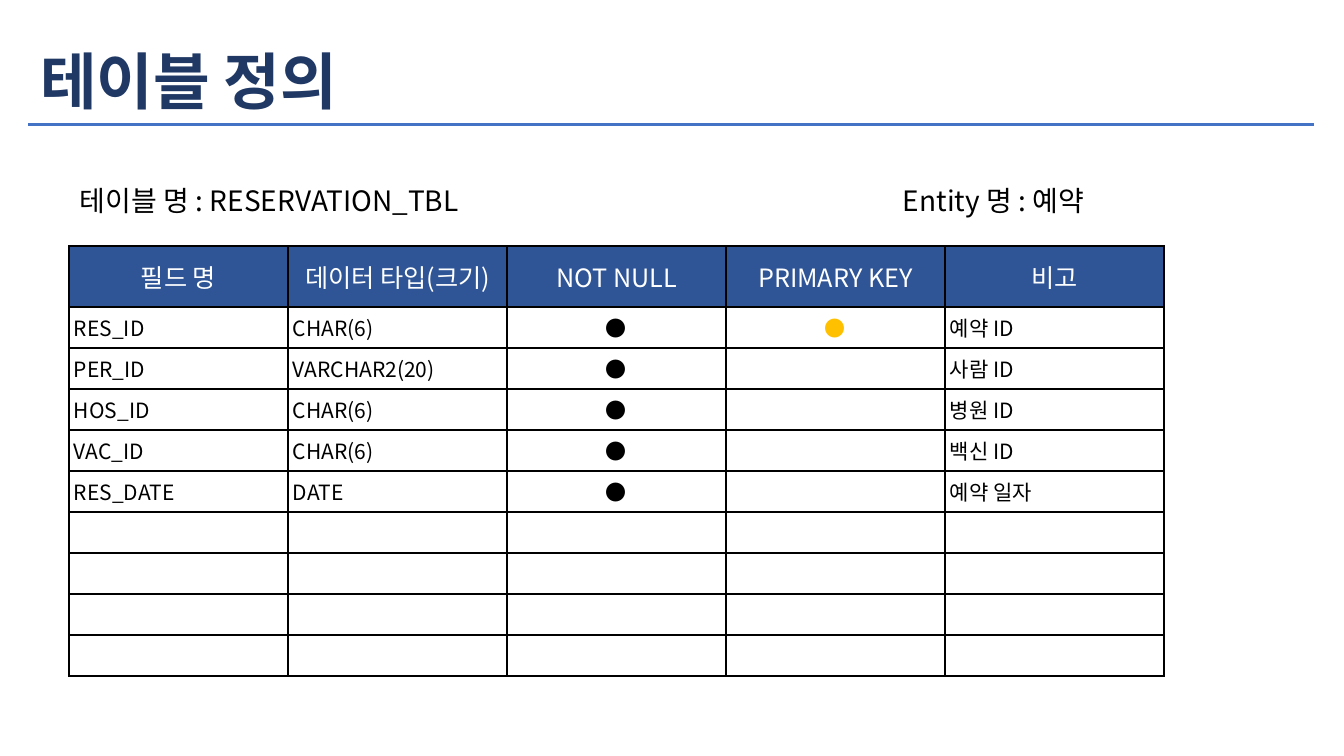
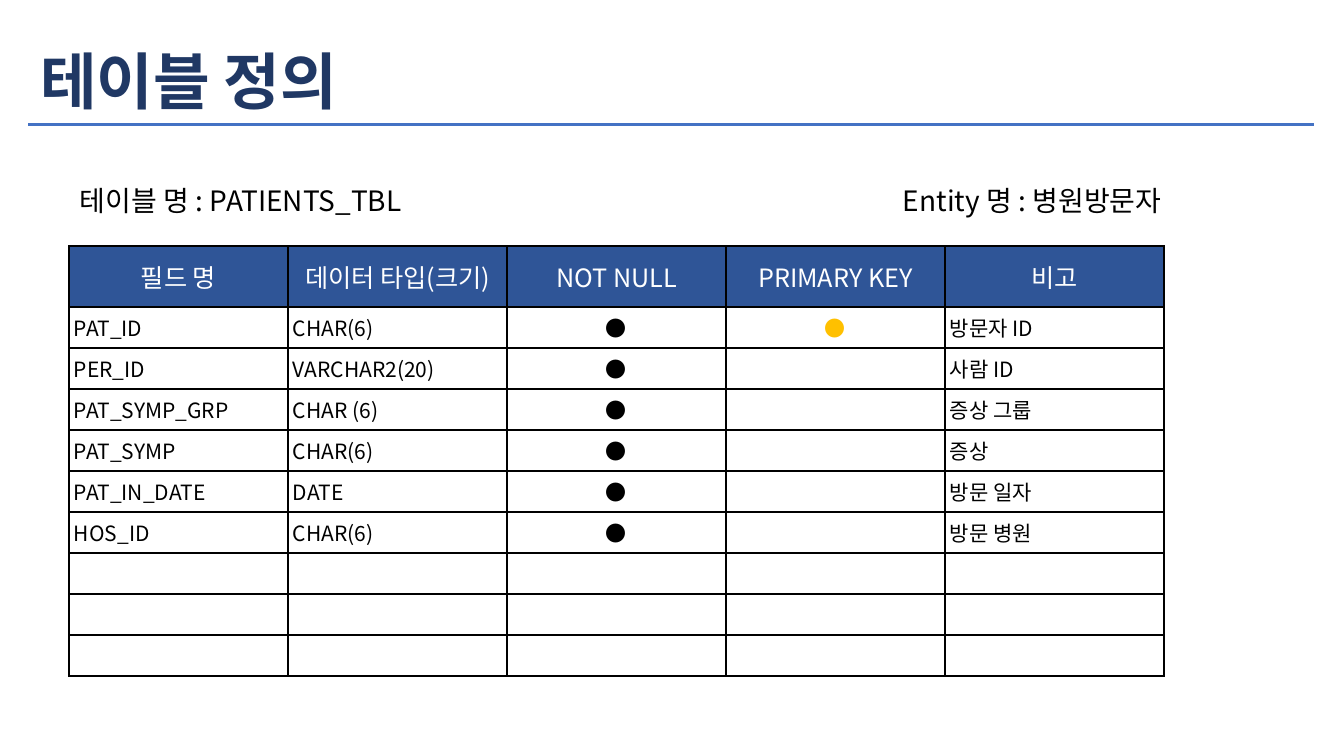
"""Builds two slides that define database tables."""
from dataclasses import dataclass

from lxml import etree
from pptx import Presentation
from pptx.dml.color import RGBColor
from pptx.enum.shapes import MSO_SHAPE
from pptx.enum.text import MSO_ANCHOR, MSO_AUTO_SIZE, PP_ALIGN
from pptx.oxml import parse_xml
from pptx.oxml.ns import nsdecls, qn
from pptx.slide import Slide
from pptx.table import _Cell
from pptx.text.text import TextFrame
from pptx.util import Emu, Pt

RECTANGLE = MSO_SHAPE.RECTANGLE
TOP, MIDDLE = MSO_ANCHOR.TOP, MSO_ANCHOR.MIDDLE
LEFT, CENTER = PP_ALIGN.LEFT, PP_ALIGN.CENTER
FIXED_SIZE = MSO_AUTO_SIZE.NONE

WHITE = RGBColor(0xFF, 0xFF, 0xFF)
BLACK = RGBColor(0x00, 0x00, 0x00)
NAVY = RGBColor(0x20, 0x38, 0x64)
HEADER_BLUE = RGBColor(0x2F, 0x55, 0x97)
RULE_BLUE = RGBColor(0x44, 0x72, 0xC4)
KEY_GOLD = RGBColor(0xFF, 0xC0, 0x00)

FONT = "Noto Sans CJK KR"
BODY_SIZE = 15
EMU_PER_PIXEL = 914400 / 100.8
INSET = 5
TITLE_LAYOUT = 5

HEADINGS = ("필드 명", "데이터 타입(크기)", "NOT NULL", "PRIMARY KEY", "비고")
DOT = "●"
BODY_ROWS = 9
HEADER_HEIGHT, ROW_HEIGHT, COLUMN_WIDTH = 61, 41, 219


@dataclass(frozen=True)
class Box:
    """A place on the slide, in pixels."""
    left: int
    top: int
    width: int
    height: int


@dataclass(frozen=True)
class Field:
    """One field of a database table."""
    name: str
    data_type: str
    remark: str
    primary_key: bool = False
    not_null: bool = True


@dataclass(frozen=True)
class TableDefinition:
    """A database table with its entity and fields."""
    table_name: str
    entity: str
    fields: tuple[Field, ...]


TITLE_BOX = Box(35, 32, 1138, 105)
RULE_BOX = Box(27, 122, 1288, 5)
TABLE_NAME_BOX = Box(75, 176, 442, 52)
ENTITY_BOX = Box(898, 176, 442, 52)
GRID_BOX = Box(69, 246, COLUMN_WIDTH * len(HEADINGS),
               HEADER_HEIGHT + ROW_HEIGHT * BODY_ROWS)

DEFINITIONS = (
    TableDefinition("RESERVATION_TBL", "예약", (
        Field("RES_ID", "CHAR(6)", "예약 ID", primary_key=True),
        Field("PER_ID", "VARCHAR2(20)", "사람 ID"),
        Field("HOS_ID", "CHAR(6)", "병원 ID"),
        Field("VAC_ID", "CHAR(6)", "백신 ID"),
        Field("RES_DATE", "DATE", "예약 일자"),
    )),
    TableDefinition("PATIENTS_TBL", "병원방문자", (
        Field("PAT_ID", "CHAR(6)", "방문자 ID", primary_key=True),
        Field("PER_ID", "VARCHAR2(20)", "사람 ID"),
        Field("PAT_SYMP_GRP", "CHAR (6)", "증상 그룹"),
        Field("PAT_SYMP", "CHAR(6)", "증상"),
        Field("PAT_IN_DATE", "DATE", "방문 일자"),
        Field("HOS_ID", "CHAR(6)", "방문 병원"),
    )),
)


def px(pixels: int) -> Emu:
    """Turn pixels into EMU."""
    return Emu(round(pixels * EMU_PER_PIXEL))


def place(box: Box) -> tuple[Emu, Emu, Emu, Emu]:
    """Give a box as left, top, width and height in EMU."""
    return px(box.left), px(box.top), px(box.width), px(box.height)


def write(frame: TextFrame, text: str, *, size: int, color: RGBColor = BLACK,
          bold: bool = False, align: PP_ALIGN = LEFT,
          spacing: float = 1.0) -> None:
    """Write one formatted paragraph; empty text keeps only its size."""
    paragraph = frame.paragraphs[0]
    paragraph.alignment = align
    paragraph.line_spacing = spacing
    if not text:
        end = etree.SubElement(paragraph._p, qn("a:endParaRPr"))
        end.set("sz", str(size * 100))
        return
    run = paragraph.add_run()
    run.text = text
    run.font.name = FONT
    run.font.size = Pt(size)
    run.font.bold = bold
    run.font.color.rgb = color
    east_asian = etree.SubElement(run.font._element, qn("a:ea"))
    east_asian.set("typeface", FONT)


def set_up_frame(frame: TextFrame) -> None:
    """Give a text frame the shared insets, anchor and wrapping."""
    frame.word_wrap = True
    frame.auto_size = FIXED_SIZE
    frame.vertical_anchor = MIDDLE
    frame.margin_left = frame.margin_right = px(INSET)
    frame.margin_top = frame.margin_bottom = px(INSET)


def add_heading(slide: Slide) -> None:
    """Format the title and draw the rule below it."""
    title = slide.shapes.title
    title.left, title.top, title.width, title.height = place(TITLE_BOX)
    set_up_frame(title.text_frame)
    write(title.text_frame, "테이블 정의", size=44, color=NAVY, bold=True,
          spacing=0.9)

    rule = slide.shapes.add_shape(RECTANGLE, *place(RULE_BOX))
    rule.shadow.inherit = False
    rule.fill.solid()
    rule.fill.fore_color.rgb = RULE_BLUE
    rule.line.color.rgb = WHITE
    rule.line.width = Pt(1)


def add_caption(slide: Slide, box: Box, text: str) -> None:
    """Add a caption above the table."""
    caption = slide.shapes.add_textbox(*place(box)).text_frame
    set_up_frame(caption)
    write(caption, text, size=20, spacing=0.9)


def add_borders(cell: _Cell) -> None:
    """Draw a thin black line on each side of a cell."""
    properties = cell._tc.get_or_add_tcPr()
    for side in ("lnL", "lnR", "lnT", "lnB"):
        properties.append(parse_xml(
            f'<a:{side} {nsdecls("a")} w="{Pt(1)}"><a:solidFill>'
            f'<a:srgbClr val="{BLACK}"/></a:solidFill></a:{side}>'))


def fill_cell(cell: _Cell, text: str, *, header: bool, centered: bool,
              color: RGBColor) -> None:
    """Format one cell and write its text."""
    add_borders(cell)
    cell.margin_left = cell.margin_right = px(INSET)
    cell.margin_top = cell.margin_bottom = px(INSET)
    cell.vertical_anchor = MIDDLE if header else TOP
    if header:
        cell.fill.solid()
        cell.fill.fore_color.rgb = HEADER_BLUE
    else:
        cell.fill.background()
    write(cell.text_frame, text, size=18 if header else BODY_SIZE,
          color=color, align=CENTER if centered else LEFT)


def field_texts(field: Field) -> tuple[str, ...]:
    """Give the texts of a field in column order."""
    return (field.name, field.data_type, DOT if field.not_null else "",
            DOT if field.primary_key else "", field.remark)


def add_grid(slide: Slide, fields: tuple[Field, ...]) -> None:
    """Add the table of fields, with empty rows up to the fixed count."""
    grid = slide.shapes.add_table(BODY_ROWS + 1, len(HEADINGS),
                                  *place(GRID_BOX)).table
    grid.first_row = False
    grid.horz_banding = False
    for column in grid.columns:
        column.width = px(COLUMN_WIDTH)

    blank = ("",) * len(HEADINGS)
    rows = [HEADINGS, *map(field_texts, fields)]
    rows += [blank] * (BODY_ROWS + 1 - len(rows))
    for row_index, texts in enumerate(rows):
        header = row_index == 0
        grid.rows[row_index].height = px(HEADER_HEIGHT if header else ROW_HEIGHT)
        for heading, cell, text in zip(HEADINGS, grid.rows[row_index].cells, texts):
            is_key = heading == "PRIMARY KEY"
            color = WHITE if header else KEY_GOLD if is_key else BLACK
            fill_cell(cell, text, header=header, color=color,
                      centered=header or is_key or heading == "NOT NULL")


def main() -> None:
    """Build and save the presentation."""
    deck = Presentation()
    deck.slide_width, deck.slide_height = px(1344), px(756)
    for definition in DEFINITIONS:
        slide = deck.slides.add_slide(deck.slide_layouts[TITLE_LAYOUT])
        add_grid(slide, definition.fields)
        add_caption(slide, TABLE_NAME_BOX, f"테이블 명 : {definition.table_name}")
        add_caption(slide, ENTITY_BOX, f"Entity 명 : {definition.entity}")
        add_heading(slide)
    deck.save("out.pptx")


main()
